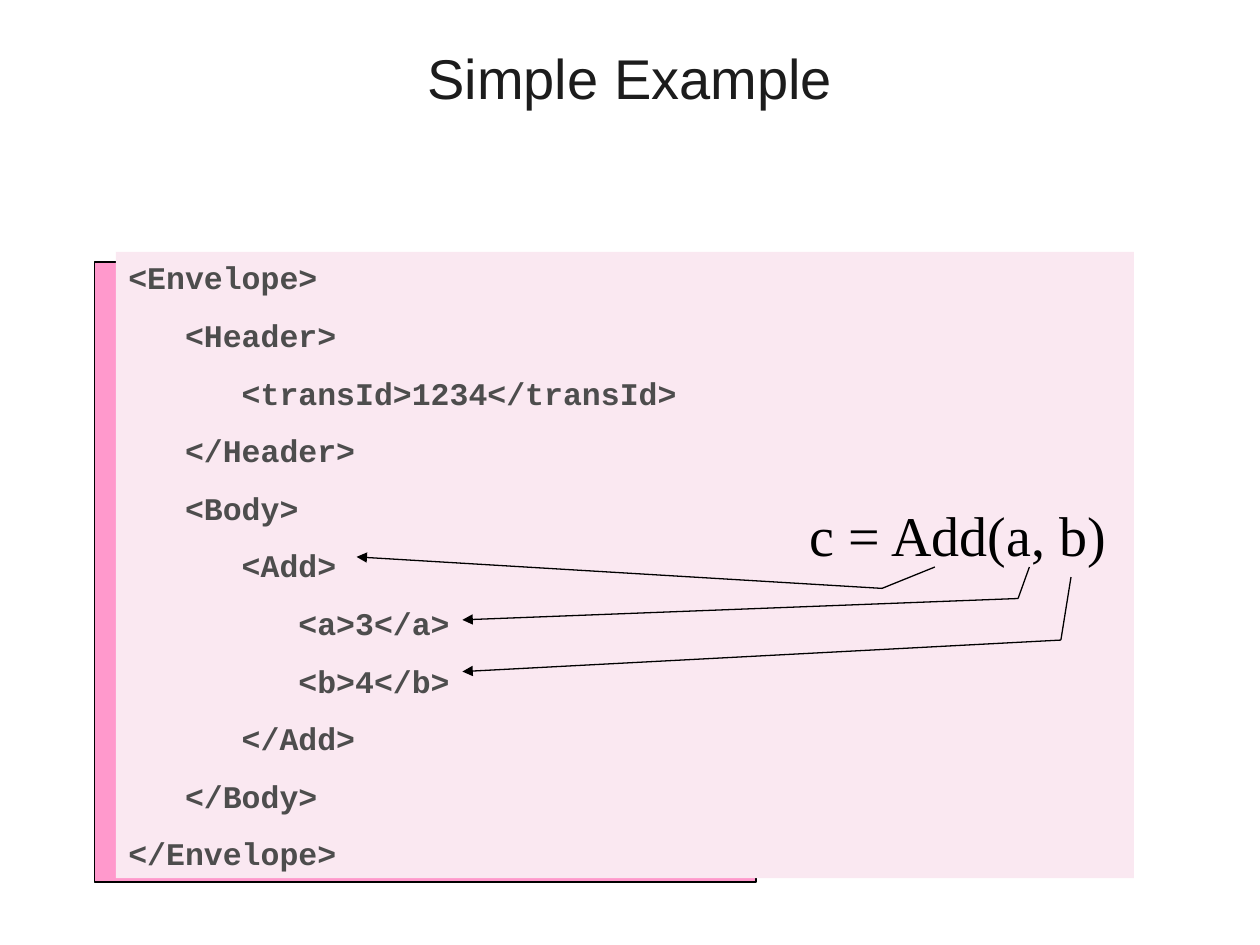
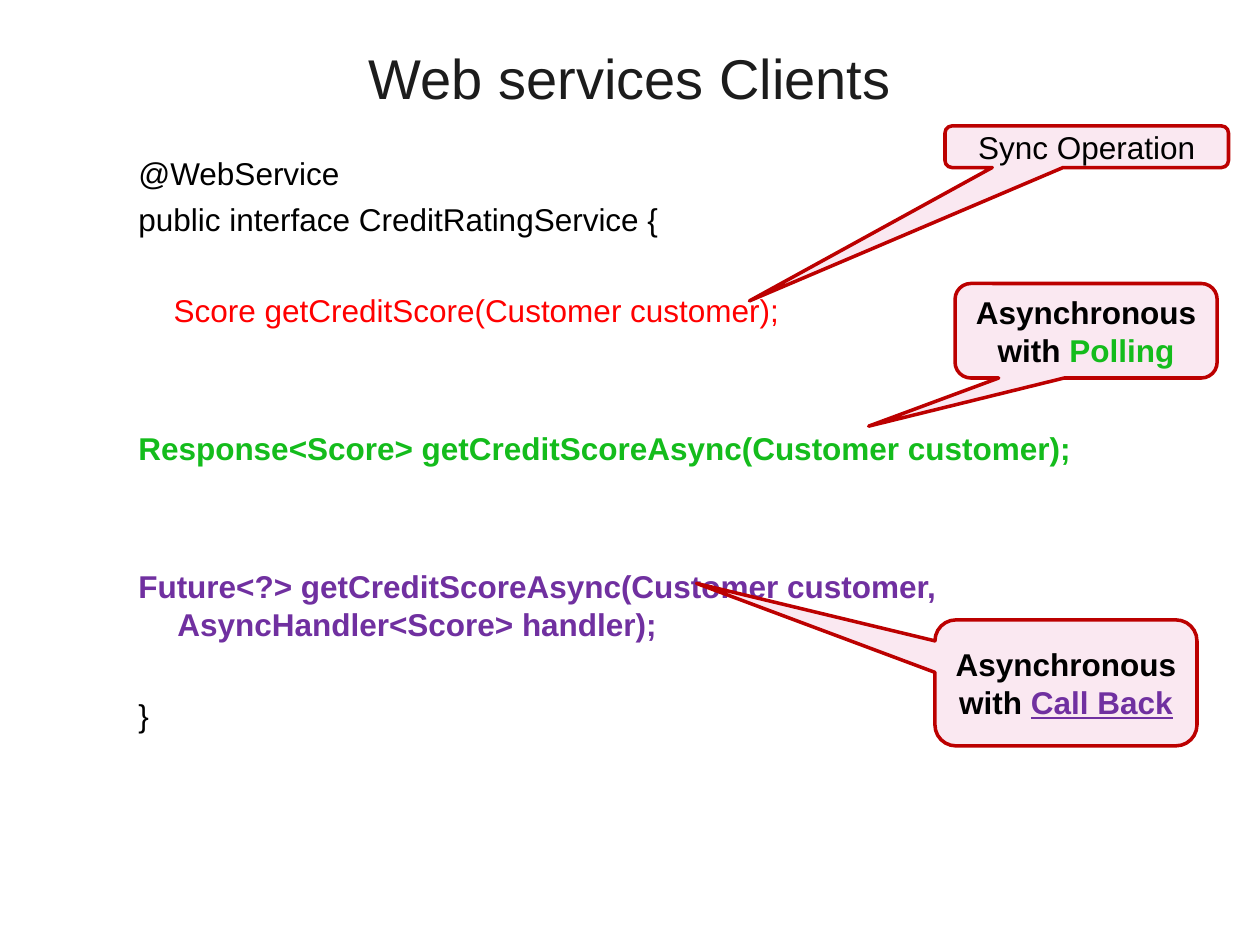
from dataclasses import dataclass

from lxml.etree import SubElement
from pptx import Presentation
from pptx.dml.color import RGBColor
from pptx.enum.shapes import MSO_CONNECTOR, MSO_SHAPE
from pptx.enum.text import MSO_ANCHOR, MSO_AUTO_SIZE, PP_ALIGN
from pptx.oxml.ns import qn
from pptx.presentation import Presentation as Deck
from pptx.shapes.autoshape import Shape
from pptx.slide import Slide
from pptx.text.text import _Paragraph as Paragraph
from pptx.util import Inches, Pt

BLACK = "000000"
TITLE_INK = "1C1C1C"
CODE_INK = "4D4D4D"
PALE_PINK = "FAE8F1"
PINK = "FF99CC"
DARK_RED = "BC0000"
RED = "FF0000"
GREEN = "14BC1C"
PURPLE = "7030A0"

BODY_SIZE = 18
LINE_PITCH = 21.7
CODE_GAP = 11.2
CODE_STEP = 0.45
BODY_GAP = 4.5
BODY_INDENT = 0.81
BODY_HANGING = -0.31


@dataclass
class Span:
    text: str
    colour: str = BLACK
    bold: bool = False
    underline: bool = False


@dataclass
class XmlLine:
    level: int
    text: str


@dataclass
class JavaLine:
    span: Span
    blanks_above: int = 0
    shift: float = 0


@dataclass
class Trace:
    start: tuple[float, float]
    bend: tuple[float, float]
    target: tuple[float, float]


@dataclass
class Callout:
    place: tuple[float, float, float, float]
    pointer: tuple[float, float]
    spans: list[Span]


ENVELOPE = [
    XmlLine(0, "<Envelope>"),
    XmlLine(1, "<Header>"),
    XmlLine(2, "<transId>1234</transId>"),
    XmlLine(1, "</Header>"),
    XmlLine(1, "<Body>"),
    XmlLine(2, "<Add>"),
    XmlLine(3, "<a>3</a>"),
    XmlLine(3, "<b>4</b>"),
    XmlLine(2, "</Add>"),
    XmlLine(1, "</Body>"),
    XmlLine(0, "</Envelope>"),
]

TRACES = [
    Trace((7.42, 4.5), (7, 4.67), (2.83, 4.42)),
    Trace((8.17, 4.5), (8.08, 4.75), (3.67, 4.92)),
    Trace((8.5, 4.58), (8.42, 5.08), (3.67, 5.33)),
]

INTERFACE = [
    JavaLine(Span("@WebService")),
    JavaLine(Span("public interface CreditRatingService {")),
    JavaLine(Span("Score getCreditScore(Customer customer);", RED), 1, 0.28),
    JavaLine(Span("Response<Score> getCreditScoreAsync(Customer customer);", GREEN, True), 2),
    JavaLine(Span("Future<?> getCreditScoreAsync(Customer customer, "
                  "AsyncHandler<Score> handler);", PURPLE, True), 2),
    JavaLine(Span("}"), 1),
]

CALLOUTS = [
    Callout((7.5, 1, 2.25, 0.33), (-1.19, 3.71), [Span("Sync Operation")]),
    Callout((7.58, 2.25, 2.08, 0.75), (-0.83, 1.01),
            [Span("Asynchronous with ", bold=True), Span("Polling", GREEN, True)]),
    Callout((7.42, 4.92, 2.08, 1), (-1.41, -0.79),
            [Span("Asynchronous with ", bold=True), Span("Call Back", PURPLE, True, True)]),
]


def colour(value: str) -> RGBColor:
    return RGBColor.from_string(value)


def write(para: Paragraph, spans: list[Span], size: float = BODY_SIZE,
          font: str = "Arial") -> None:
    for span in spans:
        run = para.add_run()
        run.text = span.text
        run.font.name = font
        run.font.size = Pt(size)
        run.font.bold = span.bold
        run.font.underline = span.underline
        run.font.color.rgb = colour(span.colour)


def next_paragraph(box: Shape, index: int) -> Paragraph:
    frame = box.text_frame
    return frame.add_paragraph() if index else frame.paragraphs[0]


def set_indent(para: Paragraph, left: float, first: float = 0) -> None:
    properties = para._p.get_or_add_pPr()
    properties.set("marL", str(Inches(left)))
    properties.set("indent", str(Inches(first)))


def add_titled_page(deck: Deck, text: str) -> Slide:
    page = deck.slides.add_slide(deck.slide_layouts[5])
    title = page.shapes.title
    title.left, title.top = Inches(0.5), Inches(0.3)
    title.width, title.height = Inches(9), Inches(0.62)
    frame = title.text_frame
    frame.auto_size = MSO_AUTO_SIZE.NONE
    frame.vertical_anchor = MSO_ANCHOR.MIDDLE
    para = frame.paragraphs[0]
    para.alignment = PP_ALIGN.CENTER
    write(para, [Span(text, TITLE_INK)], 32)
    return page


def add_panel(page: Slide, kind: MSO_SHAPE, place: tuple[float, float, float, float],
              fill: str, line: str | None = None, width: float = 0.75) -> Shape:
    panel = page.shapes.add_shape(kind, *map(Inches, place))
    panel.shadow.inherit = False
    panel.fill.solid()
    panel.fill.fore_color.rgb = colour(fill)
    if line:
        panel.line.color.rgb = colour(line)
        panel.line.width = Pt(width)
    else:
        panel.line.fill.background()
    return panel


def add_text_box(page: Slide, place: tuple[float, float, float, float]) -> Shape:
    box = page.shapes.add_textbox(*map(Inches, place))
    box.text_frame.word_wrap = True
    return box


def add_line(page: Slide, start: tuple[float, float], end: tuple[float, float],
             arrow: bool = False) -> None:
    line = page.shapes.add_connector(MSO_CONNECTOR.STRAIGHT, *map(Inches, start + end))
    line.line.color.rgb = colour(BLACK)
    line.line.width = Pt(0.75)
    if arrow:
        SubElement(line.line._get_or_add_ln(), qn("a:tailEnd"), type="triangle")
    SubElement(line._element.spPr, qn("a:effectLst"))


def add_callout(page: Slide, callout: Callout) -> None:
    bubble = add_panel(page, MSO_SHAPE.ROUNDED_RECTANGULAR_CALLOUT, callout.place,
                       PALE_PINK, DARK_RED, 2)
    bubble.adjustments[0], bubble.adjustments[1] = callout.pointer
    bubble.text_frame.vertical_anchor = MSO_ANCHOR.MIDDLE
    para = bubble.text_frame.paragraphs[0]
    para.alignment = PP_ALIGN.CENTER
    para.line_spacing = Pt(LINE_PITCH)
    write(para, callout.spans)


def build_example(deck: Deck) -> None:
    page = add_titled_page(deck, "Simple Example")
    add_panel(page, MSO_SHAPE.RECTANGLE, (0.75, 2.08, 5.25, 4.92), PINK, BLACK)
    listing = add_panel(page, MSO_SHAPE.RECTANGLE, (0.92, 2, 8.08, 4.97), PALE_PINK)
    listing.text_frame.vertical_anchor = MSO_ANCHOR.TOP
    for index, line in enumerate(ENVELOPE):
        para = next_paragraph(listing, index)
        para.alignment = PP_ALIGN.LEFT
        para.line_spacing = Pt(LINE_PITCH)
        para.space_before = Pt(CODE_GAP if index else 0)
        set_indent(para, line.level * CODE_STEP)
        write(para, [Span(line.text, CODE_INK, True)], font="Courier New")

    call = add_text_box(page, (6.33, 3.92, 3.08, 0.64))
    write(call.text_frame.paragraphs[0], [Span("c = Add(a, b)")], 32, "Times New Roman")
    for trace in TRACES:
        add_line(page, trace.start, trace.bend)
        add_line(page, trace.bend, trace.target, arrow=True)


def build_clients(deck: Deck) -> None:
    page = add_titled_page(deck, "Web services Clients")
    body = add_text_box(page, (0.5, 1.17, 9, 5.53))
    for index, line in enumerate(INTERFACE):
        para = next_paragraph(body, index)
        para.line_spacing = Pt(LINE_PITCH)
        gap = BODY_GAP + line.blanks_above * (LINE_PITCH + BODY_GAP)
        para.space_before = Pt(gap if index else 0)
        set_indent(para, BODY_INDENT, BODY_HANGING + line.shift)
        write(para, [line.span])
    for callout in CALLOUTS:
        add_callout(page, callout)


def main() -> None:
    deck = Presentation()
    deck.slide_width, deck.slide_height = Inches(10), Inches(7.5)
    build_example(deck)
    build_clients(deck)
    deck.save("out.pptx")


if __name__ == "__main__":
    main()
